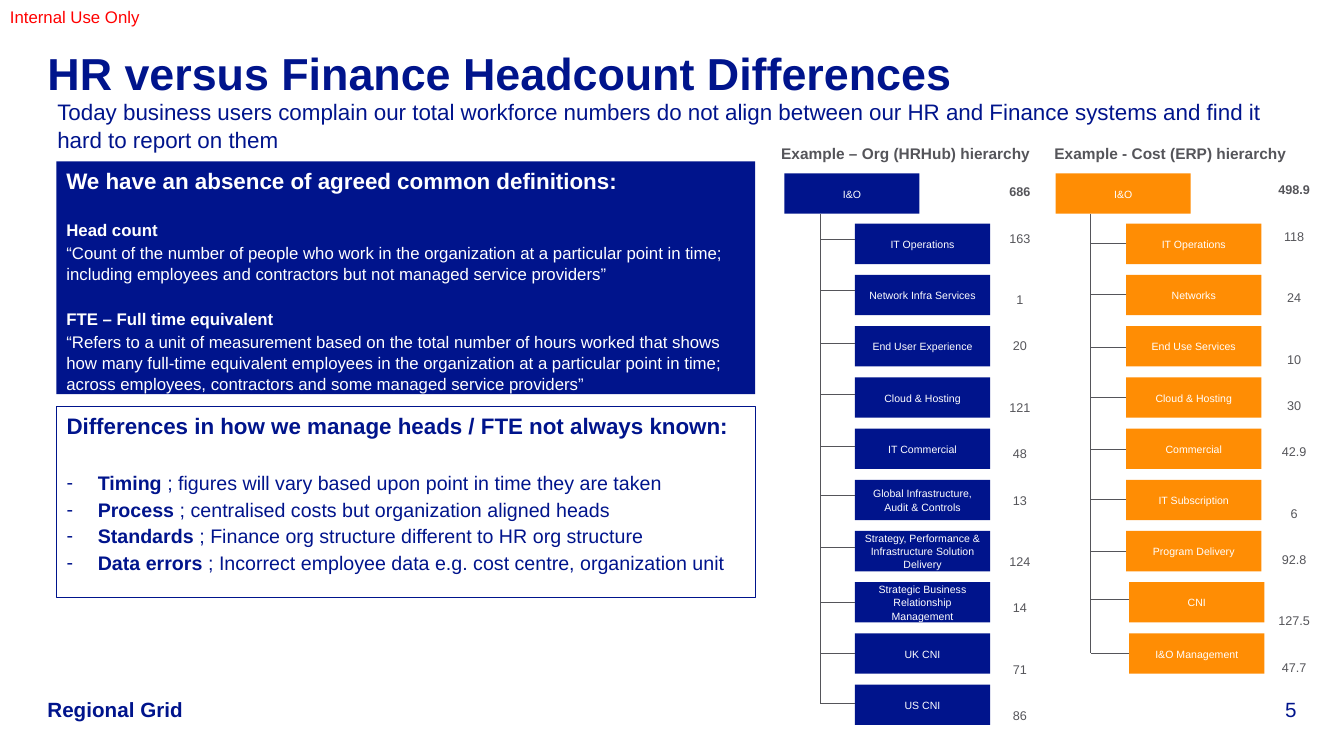
from pptx import Presentation
from pptx.dml.color import RGBColor
from pptx.enum.shapes import MSO_CONNECTOR, MSO_SHAPE
from pptx.enum.text import MSO_ANCHOR, MSO_AUTO_SIZE, PP_ALIGN
from pptx.oxml.ns import qn
from pptx.util import Inches, Pt
from lxml import etree

NAVY = RGBColor(0x00, 0x14, 0x8C)
ORANGE = RGBColor(0xFF, 0x8D, 0x04)
GREY = RGBColor(0x55, 0x55, 0x5A)
WHITE = RGBColor(0xFF, 0xFF, 0xFF)
RED = RGBColor(0xFF, 0x00, 0x00)
LINE_SPACING = 1.05
NUMBER_LINE = 10.86

prs = Presentation()
prs.slide_width, prs.slide_height = Inches(13.33), Inches(7.5)
slide = prs.slides.add_slide(prs.slide_layouts[1])
shapes = slide.shapes


def place(shape, left, top, width, height):
    shape.left, shape.top = Inches(left), Inches(top)
    shape.width, shape.height = Inches(width), Inches(height)


def write(paragraph, runs, size, color, align=PP_ALIGN.LEFT, before=0, after=0):
    paragraph.alignment = align
    paragraph.line_spacing = LINE_SPACING
    paragraph.space_before, paragraph.space_after = Pt(before), Pt(after)
    for text, bold in runs:
        run = paragraph.add_run()
        run.text = text
        run.font.name, run.font.size, run.font.bold = "Arial", Pt(size), bold
        run.font.color.rgb = color


title = shapes.title
place(title, 0.47, 0.39, 12.39, 0.63)
title_frame = title.text_frame
title_frame.auto_size = MSO_AUTO_SIZE.NONE
title_frame.margin_left = title_frame.margin_right = 0
title_frame.margin_top = title_frame.margin_bottom = 0
title_frame.vertical_anchor = MSO_ANCHOR.MIDDLE
write(title_frame.paragraphs[0], [("HR versus Finance Headcount Differences", True)], 32, NAVY)

LABELS = [
    ("Internal Use Only", (0, 0.01, 2.39, 0.3), 12, RED, False, 0),
    ("Today business users complain our total workforce numbers do not align between our HR "
     "and Finance systems and find it hard to report on them",
     (0.47, 0.91, 12.27, 0.92), 16, NAVY, False, 1.3),
    ("Example – Org (HRHub) hierarchy", (7.65, 1.37, 2.68, 0.29), 11, GREY, True, 1.3),
    ("Example - Cost (ERP) hierarchy", (10.36, 1.37, 2.51, 0.29), 11, GREY, True, 1.3),
]
for text, box, size, color, bold, after in LABELS:
    label = shapes.add_textbox(*map(Inches, box)).text_frame
    label.word_wrap = True
    write(label.paragraphs[0], [(text, bold)], size, color, after=after)

FOOTER = [
    ("Regional Grid", 0.47, 1.6, PP_ALIGN.LEFT, True),
    ("5", 12.08, 0.78, PP_ALIGN.RIGHT, False),
]
for text, left, width, align, bold in FOOTER:
    footer = shapes.add_textbox(Inches(left), Inches(6.91), Inches(width), Inches(0.25)).text_frame
    footer.margin_left = footer.margin_right = footer.margin_top = footer.margin_bottom = 0
    footer.word_wrap = True
    footer.vertical_anchor = MSO_ANCHOR.BOTTOM
    write(footer.paragraphs[0], [(text, bold)], 14.7, NAVY, align)

DEFINITIONS = [
    ("We have an absence of agreed common definitions:", 16, True, 0),
    ("Head count", 12, True, 15.8),
    ("“Count of the number of people who work in the organization at a particular point in time; "
     "including employees and contractors but not managed service providers”", 12, False, 0),
    ("FTE – Full time equivalent", 12, True, 15.8),
    ("“Refers to a unit of measurement based on the total number of hours worked that shows how "
     "many full-time equivalent employees in the organization at a particular point in time; "
     "across employees, contractors and some managed service providers”", 12, False, 0),
]
definitions = shapes.add_shape(MSO_SHAPE.RECTANGLE, Inches(0.56), Inches(1.6), Inches(6.93), Inches(2.31))
definitions.shadow.inherit = False
definitions.fill.solid()
definitions.fill.fore_color.rgb = NAVY
definitions.line.fill.background()
frame = definitions.text_frame
frame.vertical_anchor = MSO_ANCHOR.TOP
for i, (text, size, bold, before) in enumerate(DEFINITIONS):
    paragraph = frame.add_paragraph() if i else frame.paragraphs[0]
    write(paragraph, [(text, bold)], size, WHITE, before=before, after=1.3)

DIFFERENCES = [
    ("Timing ", "; figures will vary based upon point in time they are taken"),
    ("Process ", "; centralised costs but organization aligned heads"),
    ("Standards ", "; Finance org structure different to HR org structure"),
    ("Data errors ", "; Incorrect employee data e.g. cost centre, organization unit"),
]
differences = slide.placeholders[1]
place(differences, 0.56, 4.03, 6.93, 1.9)
differences.line.color.rgb = NAVY
differences.line.width = Pt(0.75)
frame = differences.text_frame
frame.auto_size = MSO_AUTO_SIZE.NONE
heading = frame.paragraphs[0]
heading_format = heading._p.get_or_add_pPr()
heading_format.set("marL", "0")
heading_format.set("indent", "0")
etree.SubElement(heading_format, qn("a:buNone"))
write(heading, [("Differences in how we manage heads / FTE not always known:", True)], 16, NAVY, after=1.3)
for i, (topic, detail) in enumerate(DIFFERENCES):
    item = frame.add_paragraph()
    item_format = item._p.get_or_add_pPr()
    item_format.set("marL", str(Inches(0.31)))
    item_format.set("indent", str(-Inches(0.31)))
    etree.SubElement(item_format, qn("a:buChar")).set("char", "-")
    write(item, [(topic, True), (detail, False)], 14, NAVY, before=0 if i else 20.6, after=1.3)

ORG_UNITS = [
    ("IT Operations", 2.38, "163", 3),
    ("Network Infra Services", 2.88, "1", 4),
    ("End User Experience", 3.41, "20", 3),
    ("Cloud & Hosting", 3.91, "121", 4),
    ("IT Commercial", 4.43, "48", 3),
    ("Global Infrastructure, Audit & Controls", 4.92, "13", 3),
    ("Strategy, Performance & Infrastructure Solution Delivery", 5.43, "124", 4),
    ("Strategic Business Relationship Management", 5.98, "14", 3),
    ("UK CNI", 6.48, "71", 4),
    ("US CNI", 6.98, "86", 3),
]
COST_UNITS = [
    ("IT Operations", 2.42, "118", 3),
    ("Networks", 2.92, "24", 4),
    ("End Use Services", 3.45, "10", 4),
    ("Cloud & Hosting", 3.94, "30", 3),
    ("Commercial", 4.46, "42.9", 3),
    ("IT Subscription", 4.96, "6", 4),
    ("Program Delivery", 5.47, "92.8", 3),
    ("CNI", 5.95, "127.5", 4),
    ("I&O Management", 6.48, "47.7", 3),
]
HIERARCHIES = [
    (7.78, 8.14, NAVY, ORG_UNITS, "686", (9.73, 1.77, 0.77, 5.55), 10),
    (10.47, 10.82, ORANGE, COST_UNITS, "498.9", (12.45, 1.75, 0.77, 5.4), 7),
]
for left, trunk, color, units, total, number_box, aligned in HIERARCHIES:
    lefts = [left + (0.7 if i < aligned else 0.73) for i in range(len(units))]
    boxes = [("I&O", left, 1.72)]
    boxes += [(unit[0], lefts[i], 2.22 + 0.508 * i) for i, unit in enumerate(units)]
    for text, box_left, top in boxes:
        box = shapes.add_shape(MSO_SHAPE.RECTANGLE, Inches(box_left), Inches(top), Inches(1.34), Inches(0.4))
        box.shadow.inherit = False
        box.fill.solid()
        box.fill.fore_color.rgb = color
        box.line.fill.background()
        box.text_frame.vertical_anchor = MSO_ANCHOR.MIDDLE
        write(box.text_frame.paragraphs[0], [(text, False)], 7.5, WHITE, PP_ALIGN.CENTER, after=4.5)

    branches = [(trunk, 2.12, trunk, units[-1][1])]
    branches += [(trunk, unit[1], lefts[i], unit[1]) for i, unit in enumerate(units)]
    for ends in branches:
        branch = shapes.add_connector(MSO_CONNECTOR.STRAIGHT, *map(Inches, ends))
        branch.line.color.rgb = GREY
        branch.line.width = Pt(0.75)
        etree.SubElement(branch._element.spPr, qn("a:effectLst"))

    numbers = shapes.add_textbox(*map(Inches, number_box)).text_frame
    numbers.word_wrap = True
    write(numbers.paragraphs[0], [(total, True)], 9, GREY, PP_ALIGN.CENTER)
    for _, _, count, lines in units:
        write(numbers.add_paragraph(), [(count, False)], 9, GREY, PP_ALIGN.CENTER,
              before=NUMBER_LINE * (lines - 1))

prs.save("out.pptx")
